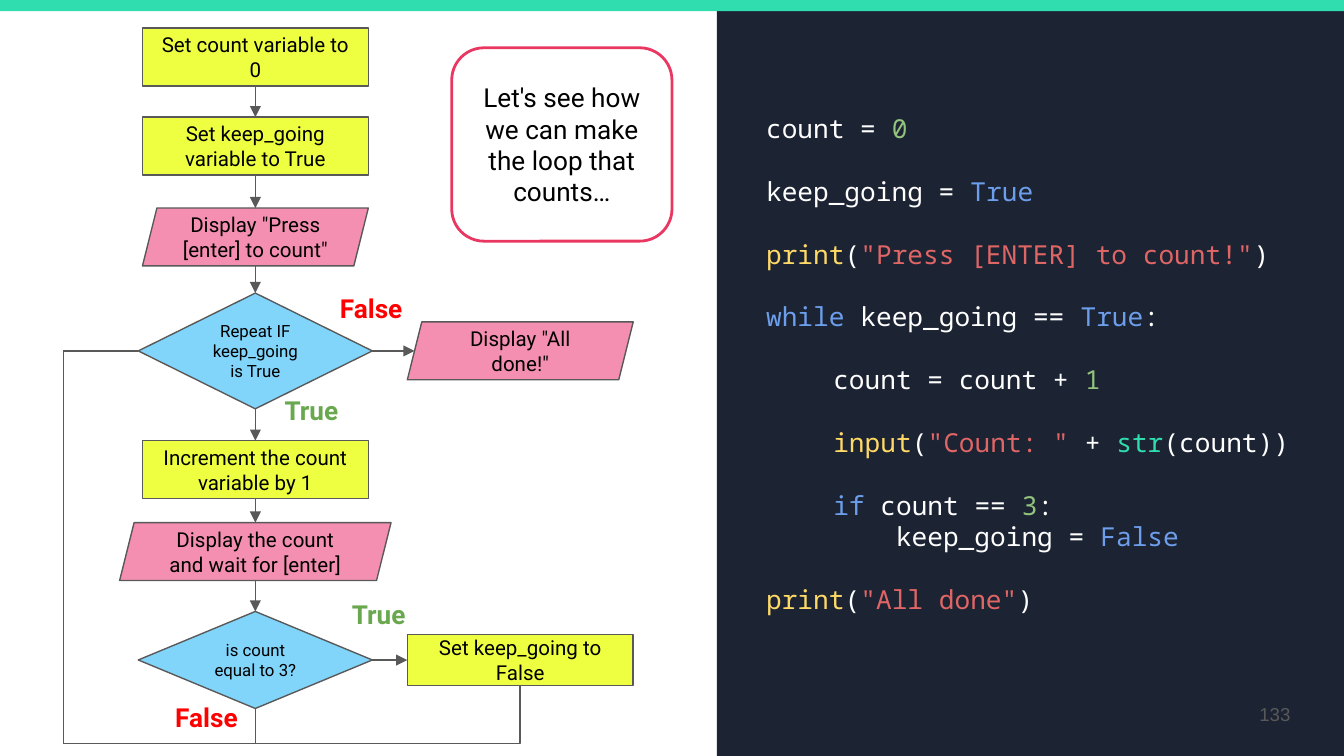
from dataclasses import dataclass

from lxml.etree import SubElement
from pptx import Presentation
from pptx.dml.color import RGBColor
from pptx.enum.shapes import MSO_CONNECTOR, MSO_SHAPE
from pptx.enum.text import MSO_ANCHOR, MSO_AUTO_SIZE, PP_ALIGN
from pptx.oxml.ns import qn
from pptx.util import Pt

WHITE = RGBColor(0xFF, 0xFF, 0xFF)
BLACK = RGBColor(0x00, 0x00, 0x00)
MINT = RGBColor(0x30, 0xDD, 0xAE)
NAVY = RGBColor(0x1C, 0x23, 0x33)
GRAY = RGBColor(0x59, 0x59, 0x59)
CRIMSON = RGBColor(0xE9, 0x37, 0x61)
YELLOW = RGBColor(0xEE, 0xFF, 0x41)
PINK = RGBColor(0xF4, 0x8F, 0xB1)
SKY = RGBColor(0x81, 0xD4, 0xFA)
RED = RGBColor(0xFF, 0x00, 0x00)
GREEN = RGBColor(0x6A, 0xA8, 0x4F)
NUMBER = RGBColor(0x93, 0xC4, 0x7D)
KEYWORD = RGBColor(0x6D, 0x9E, 0xEB)
CALL = RGBColor(0xFF, 0xD9, 0x66)
STRING = RGBColor(0xE0, 0x66, 0x66)

INSET = 7.2
CODE_LINE = 16.8
CODE_INDENT = 36
BLOCK_INDENT = 33.6

PROCESS = (MSO_SHAPE.RECTANGLE, YELLOW, 11)
DISPLAY = (MSO_SHAPE.PARALLELOGRAM, PINK, 11)
DECISION = (MSO_SHAPE.DIAMOND, SKY, 9)

STEPS = [
    (PROCESS, 9.1, 121, 31, "Set count variable to 0"),
    (PROCESS, 56.8, 121, 31, "Set keep_going variable to True"),
    (DISPLAY, 105.5, 121, 31, 'Display "Press [enter] to count"'),
    (DECISION, 151, 125.4, 62, "Repeat IF keep_going is True"),
    (PROCESS, 230.1, 121, 31, "Increment the count variable by 1"),
    (DISPLAY, 274, 145.4, 31, "Display the count and wait for [enter]"),
    (DECISION, 321.6, 125.4, 52, "is count equal to 3?"),
]
LABELS = [
    ("False", RED, 175, 143.2),
    ("True", GREEN, 145.4, 197.8),
    ("True", GREEN, 181.4, 307.2),
    ("False", RED, 86.8, 362.8),
]
CODE = [
    (0, False, [("count = ", WHITE), ("0", NUMBER)]),
    (0, True, [("keep_going = ", WHITE), ("True", KEYWORD)]),
    (0, True, [("print", CALL), ("(", WHITE), ('"Press [ENTER] to count!"', STRING), (")", WHITE)]),
    (0, True, [("while", KEYWORD), (" keep_going == ", WHITE), ("True", KEYWORD), (":", WHITE)]),
    (CODE_INDENT, True, [("count = count + ", WHITE), ("1", NUMBER)]),
    (CODE_INDENT, True, [("input", CALL), ("(", WHITE), ('"Count: "', STRING), (" + ", WHITE),
                         ("str", MINT), ("(count))", WHITE)]),
    (CODE_INDENT, True, [("if", KEYWORD), (" count == ", WHITE), ("3", NUMBER), (":", WHITE)]),
    (CODE_INDENT + BLOCK_INDENT, False, [("keep_going = ", WHITE), ("False", KEYWORD)]),
    (0, True, [("print", CALL), ("(", WHITE), ('"All done"', STRING), (")", WHITE)]),
]


@dataclass
class Box:
    left: float
    top: float
    width: float
    height: float

    @property
    def right(self):
        return self.left + self.width

    @property
    def bottom(self):
        return self.top + self.height

    @property
    def center(self):
        return self.left + self.width / 2

    @property
    def middle(self):
        return self.top + self.height / 2

    def lengths(self):
        return Pt(self.left), Pt(self.top), Pt(self.width), Pt(self.height)


def prepare_frame(frame, anchor):
    frame.word_wrap = True
    frame.auto_size = MSO_AUTO_SIZE.NONE
    frame.vertical_anchor = anchor
    frame.margin_left = frame.margin_right = Pt(INSET)
    frame.margin_top = frame.margin_bottom = Pt(INSET)


def add_span(para, text, size, color, font="Roboto", bold=False):
    span = para.add_run()
    span.text = text
    span.font.name = font
    span.font.size = Pt(size)
    span.font.bold = bold
    span.font.color.rgb = color


def add_text(page, box, text, size, color, font="Roboto", bold=False,
             align=PP_ALIGN.LEFT, anchor=MSO_ANCHOR.TOP):
    frame = page.shapes.add_textbox(*box.lengths()).text_frame
    prepare_frame(frame, anchor)
    frame.paragraphs[0].alignment = align
    add_span(frame.paragraphs[0], text, size, color, font, bold)


def add_block(page, kind, box, fill, line=None, line_width=0.75):
    shape = page.shapes.add_shape(kind, *box.lengths())
    shape.shadow.inherit = False
    shape.fill.solid()
    shape.fill.fore_color.rgb = fill
    if line is None:
        shape.line.fill.background()
    else:
        shape.line.color.rgb = line
        shape.line.width = Pt(line_width)
    return shape


def add_caption(shape, text, size):
    prepare_frame(shape.text_frame, MSO_ANCHOR.MIDDLE)
    para = shape.text_frame.paragraphs[0]
    para.alignment = PP_ALIGN.CENTER
    add_span(para, text, size, BLACK)


def add_node(page, style, box, text):
    kind, fill, size = style
    shape = add_block(page, kind, box, fill, GRAY)
    if kind == MSO_SHAPE.PARALLELOGRAM:
        shape.adjustments[0] = 0.25
    add_caption(shape, text, size)


def add_line(page, kind, start, end):
    line = page.shapes.add_connector(kind, *(Pt(value) for value in (*start, *end)))
    line.line.color.rgb = GRAY
    line.line.width = Pt(0.75)
    properties = line._element.spPr
    SubElement(properties, qn("a:effectLst"))
    return properties


def add_arrow(page, start, end):
    properties = add_line(page, MSO_CONNECTOR.STRAIGHT, start, end)
    SubElement(properties.find(qn("a:ln")), qn("a:tailEnd"), type="triangle")


def add_loop_back(page, start, end, floor, wall):
    across, rise = start[0] - end[0], start[1] - end[1]
    left = (start[0] + end[0] - rise) / 2
    top = (start[1] + end[1] - across) / 2
    properties = add_line(page, MSO_CONNECTOR.ELBOW, (left, top), (left + rise, top + across))
    transform = properties.find(qn("a:xfrm"))
    transform.set("rot", "5400000")
    transform.set("flipH", "1")
    geometry = properties.find(qn("a:prstGeom"))
    geometry.set("prst", "bentConnector4")
    guides = geometry.find(qn("a:avLst"))
    ratios = ((start[1] - floor) / rise, (start[0] - wall) / across)
    for index, ratio in enumerate(ratios, 1):
        SubElement(guides, qn("a:gd"), name=f"adj{index}", fmla=f"val {round(ratio * 100000)}")


def build_flowchart(page, area):
    axis = area.left + 136.8
    boxes = [Box(axis - width / 2, area.top + top, width, height)
             for _, top, width, height, _ in STEPS]
    for (style, *_, text), box in zip(STEPS, boxes):
        add_node(page, style, box, text)
    for upper, lower in zip(boxes, boxes[1:]):
        add_arrow(page, (axis, upper.bottom), (axis, lower.top))

    repeat, check = boxes[3], boxes[6]
    side = area.left + 218.2
    done = Box(side, repeat.middle - 15.5, 121, 31)
    stop = Box(side, check.middle - 13.75, 121, 27.5)
    add_node(page, DISPLAY, done, 'Display "All done!"')
    add_node(page, PROCESS, stop, "Set keep_going to False")
    add_arrow(page, (repeat.right, repeat.middle), (done.left + done.height / 8, done.middle))
    add_arrow(page, (check.right, check.middle), (stop.left, stop.middle))
    for source in (stop, check):
        add_loop_back(page, (source.center, source.bottom), (repeat.left, repeat.middle),
                      area.bottom - 6.8, area.left + 34)

    for text, color, left, top in LABELS:
        add_text(page, Box(area.left + left, area.top + top, 50, 27.4), text, 14, color, bold=True)
    callout = Box(area.left + 242, area.top + 19.6, 118, 103.6)
    bubble = add_block(page, MSO_SHAPE.ROUNDED_RECTANGLE, callout, WHITE, CRIMSON, 1.5)
    add_caption(bubble, "Let's see how we can make the loop that counts…", 14)


def build_code(page, area):
    body = page.placeholders[1]
    body.left, body.top, body.width, body.height = Box(
        area.left + 19.2, area.top + 47, 296, 314).lengths()
    frame = body.text_frame
    prepare_frame(frame, MSO_ANCHOR.TOP)
    for index, (indent, gap, spans) in enumerate(CODE):
        para = frame.add_paragraph() if index else frame.paragraphs[0]
        para.line_spacing = Pt(CODE_LINE)
        para.space_before = Pt(CODE_LINE if gap else 0)
        para.space_after = Pt(0)
        properties = para._p.get_or_add_pPr()
        properties.set("marL", str(Pt(indent)))
        properties.set("indent", "0")
        SubElement(properties, qn("a:buNone"))
        for text, color in spans:
            add_span(para, text, 14, color, "Noto Sans Mono")
    add_text(page, Box(area.right - 64.8, area.bottom - 37.8, 43.2, 31), "133", 10, GRAY,
             "Arial", align=PP_ALIGN.RIGHT, anchor=MSO_ANCHOR.MIDDLE)


def main():
    deck = Presentation()
    deck.slide_width, deck.slide_height = Pt(720), Pt(405)
    page = deck.slides.add_slide(deck.slide_layouts[1])
    title = page.shapes.title._element
    title.getparent().remove(title)
    code_area = Box(384, 6, 336, 399)
    add_block(page, MSO_SHAPE.RECTANGLE, Box(0, 0, 720, 6), MINT)
    panel = add_block(page, MSO_SHAPE.RECTANGLE, code_area, NAVY)
    page.placeholders[1]._element.addprevious(panel._element)
    build_flowchart(page, Box(0, 6, 384, 399))
    build_code(page, code_area)
    deck.save("out.pptx")


if __name__ == "__main__":
    main()
